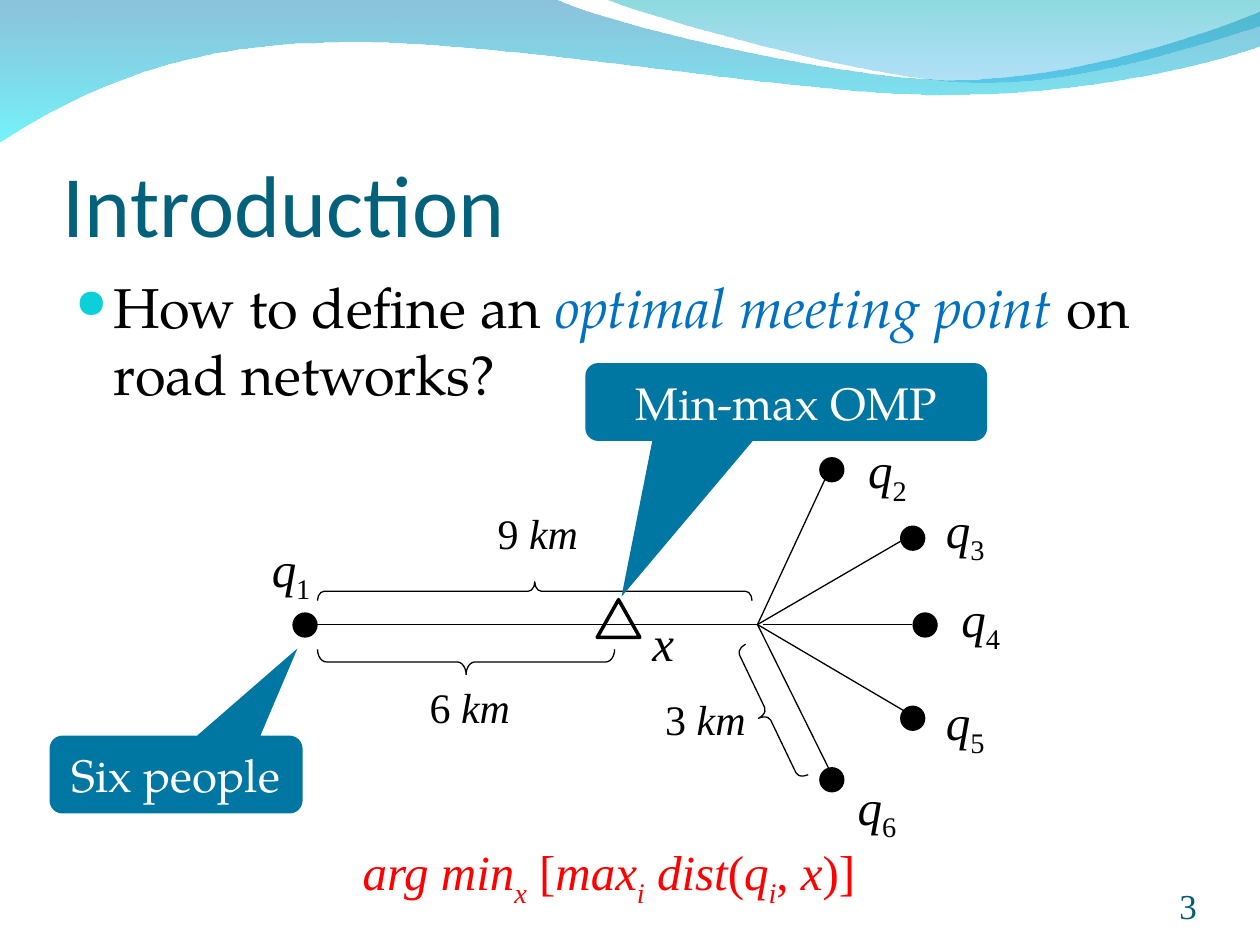
from dataclasses import dataclass

from lxml.etree import Element, SubElement
from pptx import Presentation
from pptx.dml.color import RGBColor
from pptx.enum.shapes import MSO_CONNECTOR, MSO_SHAPE
from pptx.enum.text import MSO_ANCHOR, MSO_AUTO_SIZE, PP_ALIGN
from pptx.oxml.ns import qn
from pptx.util import Cm, Pt

SERIF = "Times New Roman"
BODY_FONT = "TeX Gyre Pagella"
BLACK = "000000"
CALLOUT_BLUE = "0076A3"
DOT_SIZE = 0.51
ROAD_Y = 12.59
JUNCTION = (15.27, ROAD_Y)
Point = tuple[float, float]
Box = tuple[float, float, float, float]


@dataclass
class Person:
    number: str
    dot_center: Point
    road_end: Point
    label_corner: Point
    road_start: Point = JUNCTION


@dataclass
class Distance:
    kilometres: str
    label_corner: Point
    brace: MSO_SHAPE
    brace_box: Box
    rotation: float


@dataclass
class Callout:
    text: str
    box: Box
    pointer: Point


@dataclass
class Wave:
    start: Point
    segments: list[tuple[Point, ...]]  # one point: line, three points: curve
    stops: list[tuple[str, int]]  # colour and opacity in percent


WAVES = [
    Wave((0, -0.03), [
        ((11.18, -0.03),),
        ((12.09, 0.43), (16.87, 1.6), (19.25, 1.6)),
        ((21.67, 1.6), (24.33, 0.66), (25.4, 0.23)),
        ((25.43, 0.91),),
        ((24.97, 1.12), (22.1, 1.93), (18.95, 1.91)),
        ((15.8, 1.91), (9.7, 0.71), (6.53, 0.86)),
        ((3.28, 0.89), (1.17, 2.11), (-0.03, 2.87)),
    ], [("0079AF", 45), ("00EBF8", 55)]),
    Wave((12.17, -0.03), [
        ((12.93, 0.28), (17.32, 1.57), (19.53, 1.65)),
        ((21.74, 1.75), (24.41, 0.81), (25.4, 0.53)),
        ((25.4, 0),),
    ], [("00ADB6", 45), ("009BE5", 30)]),
]
PEOPLE = [
    Person("1", (6.15, 12.6), (6.27, ROAD_Y), (5.23, 10.72)),
    Person("2", (16.77, 9.47), (16.66, 9.6), (17.25, 8.74)),
    Person("3", (18.4, 10.85), (18.26, 10.85), (18.82, 9.93)),
    Person("4", (18.65, 12.6), (18.39, ROAD_Y), (19.13, 11.73), (15.39, ROAD_Y)),
    Person("5", (18.4, 14.48), (18.26, 14.35), (18.82, 13.82)),
    Person("6", (16.77, 15.72), (16.76, 15.6), (17.04, 15.52)),
]
DISTANCES = [
    Distance("9", (9.78, 10.11), MSO_SHAPE.LEFT_BRACE, (10.59, 7.54, 0.38, 8.76), 90),
    Distance("6", (8.41, 13.6), MSO_SHAPE.RIGHT_BRACE, (9.14, 10.35, 0.51, 5.99), 90),
    Distance("3", (13.16, 13.85), MSO_SHAPE.RIGHT_BRACE, (15.27, 12.93, 0.41, 2.92), 154.4),
]
CALLOUTS = [
    Callout("Six people", (1, 14.83, 5.1, 1.57), (0.48, -1.62)),
    Callout("Min-max OMP", (11.8, 7.32, 8.1, 1.57), (-0.41, 2.5)),
]


def color(value: str) -> RGBColor:
    return RGBColor.from_string(value)


def add_run(paragraph, text: str, *, size: float = 28, font: str = SERIF,
            fill: str = BLACK, italic: bool = False, subscript: bool = False) -> None:
    run = paragraph.add_run()
    run.text = text
    run.font.size = Pt(size)
    run.font.name = font
    run.font.italic = italic
    run.font.color.rgb = color(fill)
    if subscript:
        run.font._element.set("baseline", "-25000")


def add_text_box(slide, box: Box, *, wrap: bool = False, anchor=MSO_ANCHOR.TOP,
                 margins: Box = (0.25, 0.13, 0.25, 0.13)):
    """Add a text box and return its first paragraph."""
    frame = slide.shapes.add_textbox(*map(Cm, box)).text_frame
    frame.word_wrap = wrap
    frame.auto_size = MSO_AUTO_SIZE.NONE if wrap else MSO_AUTO_SIZE.SHAPE_TO_FIT_TEXT
    frame.vertical_anchor = anchor
    (frame.margin_left, frame.margin_top,
     frame.margin_right, frame.margin_bottom) = map(Cm, margins)
    return frame.paragraphs[0]


def add_preset(slide, kind: MSO_SHAPE, box: Box, *, fill: str | None = None,
               line: str | None = None, width: float = 0.75):
    shape = slide.shapes.add_shape(kind, *map(Cm, box))
    shape.shadow.inherit = False
    if fill:
        shape.fill.solid()
        shape.fill.fore_color.rgb = color(fill)
    else:
        shape.fill.background()
    if line:
        shape.line.color.rgb = color(line)
        shape.line.width = Pt(width)
    else:
        shape.line.fill.background()
    return shape


def add_wave(slide, wave: Wave) -> None:
    builder = slide.shapes.build_freeform(*map(Cm, wave.start))
    builder.add_line_segments([tuple(map(Cm, segment[-1])) for segment in wave.segments])
    shape = builder.convert_to_shape()
    # Turn the lines that have control points into curves
    for element, segment in zip(list(shape._element.iter(qn("a:lnTo"))), wave.segments):
        if len(segment) == 3:
            element.tag = qn("a:cubicBezTo")
            for index, (x, y) in enumerate(segment[:2]):
                element.insert(index, Element(qn("a:pt"), x=str(Cm(x) - shape.left),
                                              y=str(Cm(y) - shape.top)))
    shape.shadow.inherit = False
    shape.line.fill.background()
    shape.fill.gradient()
    shape.fill.gradient_angle = 270
    for stop, (value, opacity) in zip(shape.fill.gradient_stops, wave.stops):
        stop.color.rgb = color(value)
    for element, (value, opacity) in zip(shape._element.iter(qn("a:gs")), wave.stops):
        SubElement(element[0], qn("a:alpha"), val=str(opacity * 1000))


def add_road(slide, start: Point, end: Point) -> None:
    connector = slide.shapes.add_connector(MSO_CONNECTOR.STRAIGHT, *map(Cm, (*start, *end)))
    connector.line.color.rgb = color(BLACK)
    connector.line.width = Pt(0.75)
    SubElement(connector._element.spPr, qn("a:effectLst"))


def add_person(slide, person: Person) -> None:
    x, y = person.dot_center
    add_preset(slide, MSO_SHAPE.OVAL, (x - DOT_SIZE / 2, y - DOT_SIZE / 2, DOT_SIZE, DOT_SIZE),
               fill=BLACK)
    label = add_text_box(slide, (*person.label_corner, 1.28, 1.6))
    add_run(label, "q", italic=True)
    add_run(label, person.number, subscript=True)


def add_distance(slide, distance: Distance) -> None:
    brace = add_preset(slide, distance.brace, distance.brace_box, line=BLACK)
    brace.adjustments[0] = 0.35
    brace.rotation = distance.rotation
    label = add_text_box(slide, (*distance.label_corner, 2.13, 1.27))
    add_run(label, distance.kilometres + " ", size=24)
    add_run(label, "km", size=24, italic=True)


def add_callout(slide, callout: Callout) -> None:
    shape = add_preset(slide, MSO_SHAPE.ROUNDED_RECTANGULAR_CALLOUT, callout.box,
                       fill=CALLOUT_BLUE)
    shape.adjustments[0], shape.adjustments[1] = callout.pointer
    shape.text_frame.vertical_anchor = MSO_ANCHOR.MIDDLE
    paragraph = shape.text_frame.paragraphs[0]
    paragraph.alignment = PP_ALIGN.CENTER
    add_run(paragraph, callout.text, size=26, font=BODY_FONT, fill="FFFFFF")


def add_question(slide) -> None:
    paragraph = add_text_box(slide, (1.27, 5.36, 23.44, 3.45), wrap=True)
    properties = paragraph._p.get_or_add_pPr()
    properties.set("marL", str(Cm(0.76)))
    properties.set("indent", str(Cm(-0.76)))
    SubElement(SubElement(properties, qn("a:buClr")), qn("a:srgbClr"), val="0BD0D9")
    SubElement(properties, qn("a:buSzPct"), val="72000")
    SubElement(properties, qn("a:buChar"), char="●")
    for text, style in [("How to define an ", {}),
                        ("optimal meeting point ", {"fill": "0070C0", "italic": True}),
                        ("on road networks?", {})]:
        add_run(paragraph, text, size=32, font=BODY_FONT, **style)


def add_formula(slide) -> None:
    paragraph = add_text_box(slide, (7.06, 16.84, 10.46, 1.6))
    italic, subscript = {"italic": True}, {"italic": True, "subscript": True}
    for text, style in [("arg min", italic), ("x", subscript), (" [", {}), ("max", italic),
                        ("i", subscript), (" dist", italic), ("(", {}), ("q", italic),
                        ("i", subscript), (", ", {}), ("x", italic), (")]", {})]:
        add_run(paragraph, text, fill="FF0000", **style)


def main() -> None:
    presentation = Presentation()
    presentation.slide_width, presentation.slide_height = Cm(25.4), Cm(19.05)
    slide = presentation.slides.add_slide(presentation.slide_layouts[6])

    # Header waves, title and question
    for wave in WAVES:
        add_wave(slide, wave)
    title = add_text_box(slide, (1.27, 1.96, 22.86, 3.18), wrap=True,
                         anchor=MSO_ANCHOR.BOTTOM, margins=(0, 0.13, 0, 0))
    add_run(title, "Introduction", size=50, font="Calibri", fill="04617B")
    add_question(slide)

    # Road network with its people and distances
    for person in PEOPLE:
        add_road(slide, person.road_start, person.road_end)
    for person in PEOPLE:
        add_person(slide, person)
    for distance in DISTANCES:
        add_distance(slide, distance)

    # Meeting point, callouts and formula
    add_preset(slide, MSO_SHAPE.ISOSCELES_TRIANGLE, (12.04, 12.09, 0.86, 0.76),
               line=BLACK, width=2)
    add_run(add_text_box(slide, (12.9, 12.22, 0.94, 1.45)), "x", italic=True)
    for callout in CALLOUTS:
        add_callout(slide, callout)
    add_formula(slide)

    # Slide number
    number = add_text_box(slide, (22.02, 17.65, 2.11, 1.02), wrap=True,
                          anchor=MSO_ANCHOR.BOTTOM, margins=(0, 0, 0, 0))
    number.alignment = PP_ALIGN.RIGHT
    add_run(number, "3", size=20, fill="045C75")
    presentation.save("out.pptx")


if __name__ == "__main__":
    main()
